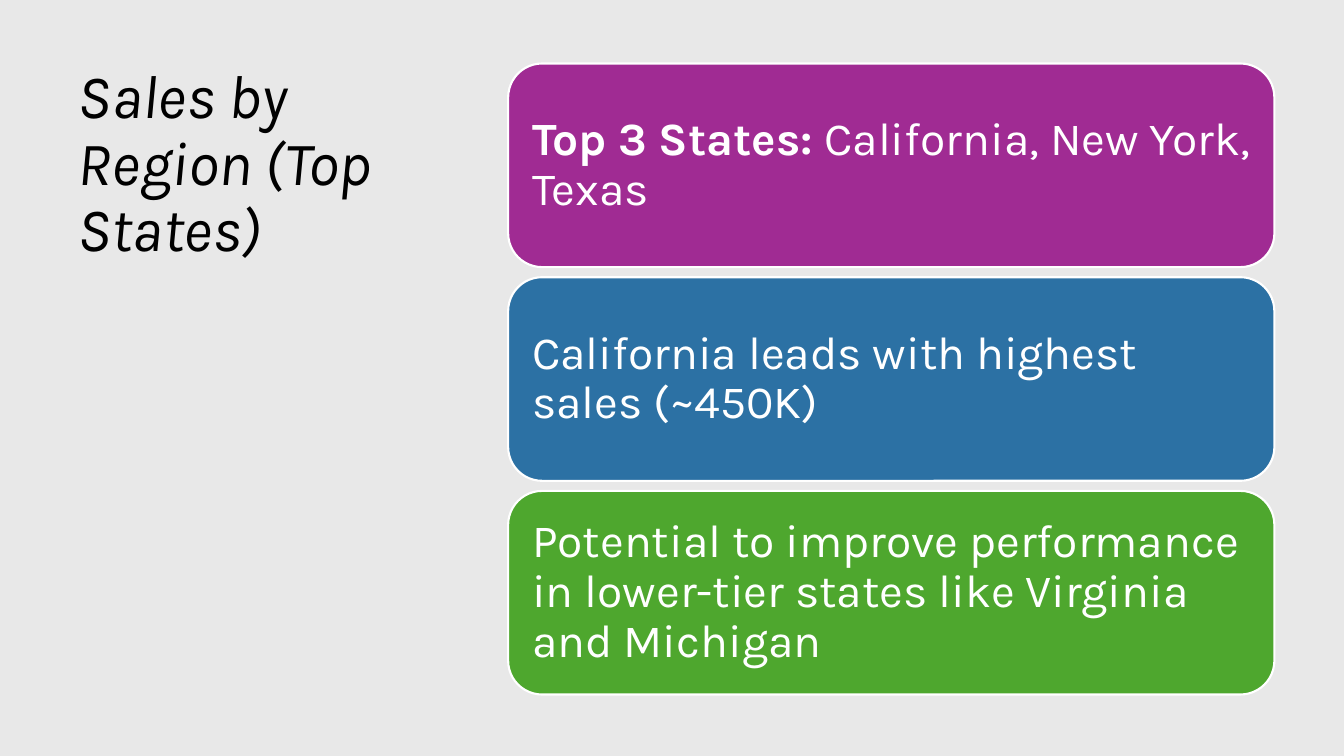
import pptx
import pptx.dml.color
import pptx.enum.shapes
import pptx.enum.text
import pptx.util
from pptx.util import Inches

COLORS = {
    "background": "E8E8E8",
    "title": "000000",
    "white": "FFFFFF",
    "purple": "A02B93",
    "blue": "2C71A4",
    "green": "4EA72E",
}

CARD_LEFT, CARD_TOP = 5.04, 0.63
CARD_WIDTH, CARD_HEIGHT = 7.6, 2.02
CARD_PITCH = 2.12

# Each card: fill colour, bold lead-in, remaining text
CARDS = [
    ("purple", "Top 3 States:", " California, New York, Texas"),
    ("blue", "", "California leads with highest sales (~450K)"),
    ("green", "", "Potential to improve performance in lower-tier states "
                  "like Virginia and Michigan"),
]


class RegionSlide:
    font_name = "Karla"
    title_size = 44
    card_size = 33

    def __init__(self, deck):
        self.page = deck.slides.add_slide(deck.slide_layouts[5])

    def color(self, name):
        return pptx.dml.color.RGBColor.from_string(COLORS[name])

    def paint(self, fill, name):
        fill.solid()
        fill.fore_color.rgb = self.color(name)

    def style(self, para, size, color):
        para.alignment = pptx.enum.text.PP_ALIGN.LEFT
        para.line_spacing = 0.9
        para.font.name = self.font_name
        para.font.size = pptx.util.Pt(size)
        para.font.color.rgb = self.color(color)

    def background(self, color):
        self.paint(self.page.background.fill, color)

    def title(self, text, left, top, width, height):
        box = self.page.shapes.title
        box.left, box.top = Inches(left), Inches(top)
        box.width, box.height = Inches(width), Inches(height)
        frame = box.text_frame
        frame.text = text
        frame.word_wrap = True
        frame.auto_size = pptx.enum.text.MSO_AUTO_SIZE.NONE
        frame.vertical_anchor = pptx.enum.text.MSO_ANCHOR.TOP
        para = frame.paragraphs[0]
        self.style(para, self.title_size, "title")
        para.font.italic = True

    def card(self, top, color, lead, text):
        box = self.page.shapes.add_shape(
            pptx.enum.shapes.MSO_SHAPE.ROUNDED_RECTANGLE,
            Inches(CARD_LEFT), Inches(top),
            Inches(CARD_WIDTH), Inches(CARD_HEIGHT))
        box.shadow.inherit = False
        self.paint(box.fill, color)
        self.paint(box.line.fill, "white")
        box.line.width = pptx.util.Pt(1.5)
        frame = box.text_frame
        frame.word_wrap = True
        frame.vertical_anchor = pptx.enum.text.MSO_ANCHOR.MIDDLE
        frame.margin_left = frame.margin_right = Inches(0.14)
        frame.margin_top = frame.margin_bottom = Inches(0.14)
        para = frame.paragraphs[0]
        self.style(para, self.card_size, "white")
        if lead:
            span = para.add_run()
            span.text = lead
            span.font.bold = True
        para.add_run().text = text


def main():
    deck = pptx.Presentation()
    deck.slide_width, deck.slide_height = Inches(13.33), Inches(7.5)
    slide = RegionSlide(deck)
    slide.background("background")
    slide.title("Sales by Region (Top  States)", 0.67, 0.6, 3.82, 6.33)
    for index, (color, lead, text) in enumerate(CARDS):
        slide.card(CARD_TOP + index * CARD_PITCH, color, lead, text)
    deck.save("out.pptx")


if __name__ == "__main__":
    main()
